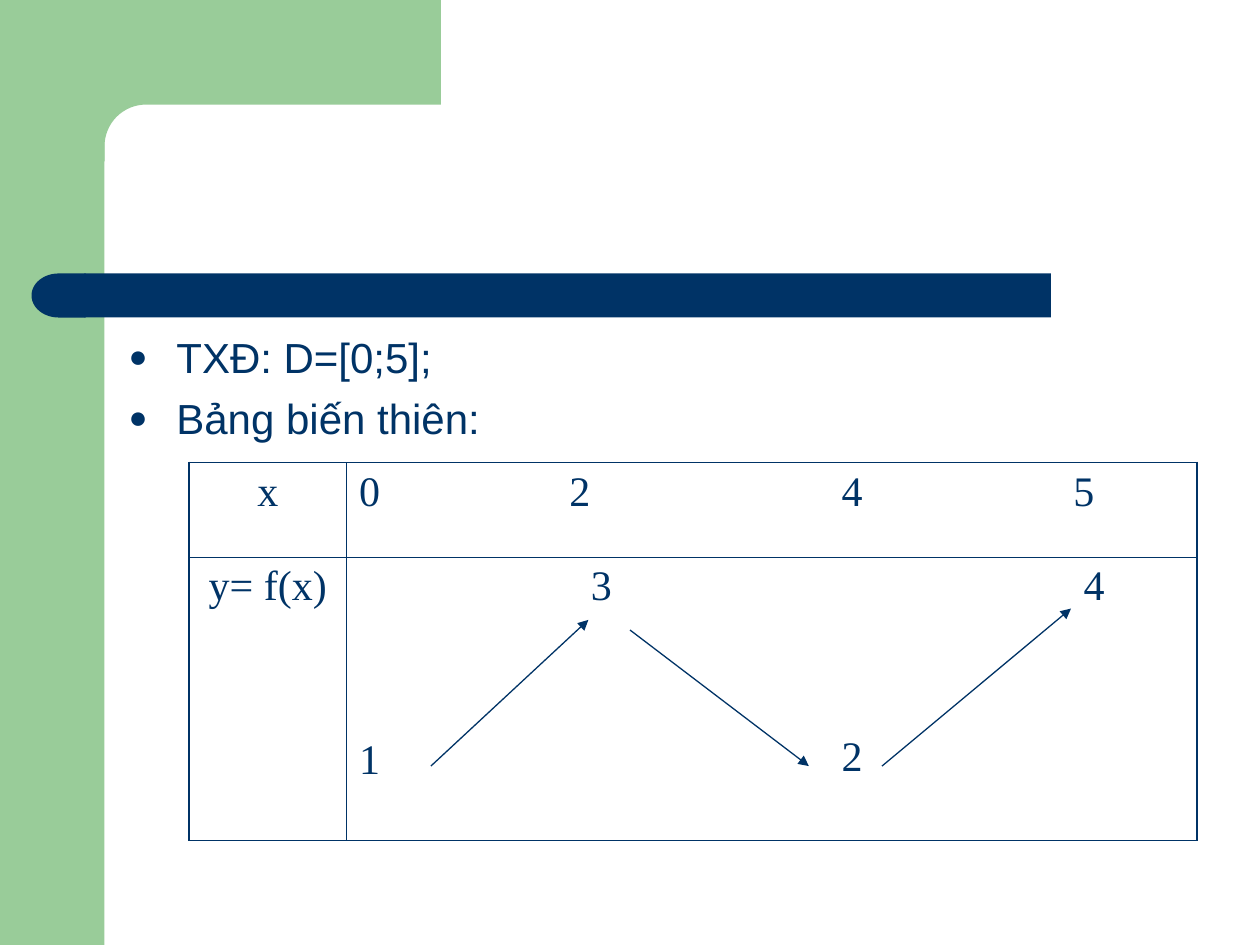
from math import cos, pi, sin

from lxml import etree
from pptx import Presentation
from pptx.dml.color import RGBColor
from pptx.enum.shapes import MSO_CONNECTOR, MSO_SHAPE
from pptx.enum.text import MSO_ANCHOR, PP_ALIGN
from pptx.oxml.ns import qn
from pptx.util import Inches, Pt

RECT = MSO_SHAPE.RECTANGLE
DELAY = MSO_SHAPE.FLOWCHART_DELAY
LINE = MSO_CONNECTOR.STRAIGHT
TOP, BOTTOM = MSO_ANCHOR.TOP, MSO_ANCHOR.BOTTOM
LEFT, CENTER = PP_ALIGN.LEFT, PP_ALIGN.CENTER
NAVY, GREEN = "003366", "99CC99"
SANS, SERIF = "Arial", "Times New Roman"


def color(code):
    return RGBColor.from_string(code)


def add(node, tag, **attrs):
    child = etree.SubElement(node, qn(tag))
    for key, value in attrs.items():
        child.set(key, str(value))
    return child


class Page:
    size = Pt(24)

    def __init__(self, slide):
        self.slide = slide
        self.shapes = slide.shapes

    def paint(self, shape, code):
        shape.shadow.inherit = False
        shape.fill.solid()
        shape.fill.fore_color.rgb = color(code)
        shape.line.fill.background()

    def block(self, kind, box, code):
        shape = self.shapes.add_shape(kind, *map(Inches, box))
        self.paint(shape, code)
        return shape

    def outline(self, points, code):
        first, *rest = [(Inches(x), Inches(y)) for x, y in points]
        pen = self.shapes.build_freeform(*first)
        pen.add_line_segments(rest)
        self.paint(pen.convert_to_shape(), code)

    def style(self, para, face):
        para.font.size = self.size
        para.font.name = face
        para.font.color.rgb = color(NAVY)

    def bullets(self, body, box, lines):
        body.left, body.top, body.width, body.height = map(Inches, box)
        frame = body.text_frame
        frame.text = "\n".join(lines)
        for i, para in enumerate(frame.paragraphs):
            props = para._p.get_or_add_pPr()
            props.set("marL", str(Inches(0.38)))
            props.set("indent", str(-Inches(0.38)))
            add(add(props, "a:buClr"), "a:srgbClr", val=NAVY)
            add(props, "a:buSzPct", val=75000)
            add(props, "a:buChar", char="●")
            para.space_before = Pt(6 if i else 0)
            self.style(para, SANS)

    def border(self, cell, side, width):
        line = add(cell._tc.get_or_add_tcPr(), "a:ln" + side, w=Pt(width))
        if width:
            add(add(line, "a:solidFill"), "a:srgbClr", val=NAVY)
        else:
            add(line, "a:noFill")

    def cell(self, cell, text, stops, align):
        cell.text = text
        for i, para in enumerate(cell.text_frame.paragraphs):
            props = para._p.get_or_add_pPr()
            if stops:
                tabs = add(props, "a:tabLst")
                for stop in stops:
                    add(tabs, "a:tab", pos=Inches(stop), algn="l")
            para.alignment = align
            # Drop from the upper value to the lower one
            para.space_before = Pt(71 if i else 0)
            self.style(para, SERIF)

    def table(self, box, cols, rows, data):
        grid = self.shapes.add_table(len(rows), len(cols),
                                     *map(Inches, box)).table
        grid.first_row = grid.horz_banding = False
        for col, width in zip(grid.columns, cols):
            col.width = Inches(width)
        for row, height in zip(grid.rows, rows):
            row.height = Inches(height)
        end, base = len(cols) - 1, len(rows) - 1
        for r, line in enumerate(data):
            for c, (text, stops) in enumerate(line):
                cell = grid.cell(r, c)
                self.cell(cell, text, stops, LEFT if c else CENTER)
                self.border(cell, "L", 0 if c else 1.08)
                self.border(cell, "R", 1.08 if c == end else 0)
                self.border(cell, "T", 0.45 if r else 1.08)
                self.border(cell, "B", 1.08 if r == base else 0.45)
                cell.fill.background()
        return grid

    def line(self, start, stop, arrow=True):
        link = self.shapes.add_connector(LINE, *map(Inches, start + stop))
        link.line.width = Pt(0.75)
        link.line.color.rgb = color(NAVY)
        if arrow:
            add(link.line._get_or_add_ln(), "a:tailEnd", type="triangle")
        add(link._element.spPr, "a:effectLst")


def main():
    deck = Presentation()
    deck.slide_width, deck.slide_height = Inches(10), Inches(7.5)
    slide = deck.slides.add_slide(deck.slide_layouts[1])
    title = slide.shapes.title._element
    title.getparent().remove(title)
    page = Page(slide)

    # Green frame with a rounded inner corner
    page.block(RECT, (0, 0, 0.83, 7.5), GREEN)
    turns = [pi / 2 * i / 16 for i in range(17)]
    curve = [(1.16 - 0.33 * sin(t), 1.16 - 0.33 * cos(t)) for t in turns]
    page.outline([(0.5, 0), (3.5, 0), (3.5, 0.83), *curve,
                  (0.83, 1.28), (0.5, 1.28)], GREEN)

    # Navy bar with a round left end
    page.block(RECT, (0.67, 2.17, 7.67, 0.35), NAVY)
    cap = page.block(DELAY, (0.25, 2.17, 0.43, 0.35), NAVY)
    cap.rotation = 180

    # Bullets
    page.bullets(slide.placeholders[1], (0.92, 2.58, 5.83, 1.17),
                 ["TXĐ: D=[0;5];", "Bảng biến thiên:"])

    # Variation table: each cell has its text and tab stops
    grid = page.table((1.5, 3.67, 8, 3), (1.25, 1.67, 2.67, 2.41),
                      (0.75, 2.25), [
        [("x", ()), ("0", ()), ("2\t4", (2.16,)), ("\t5", (1.33,))],
        [("y= f(x)", ()), ("1", ()), ("\t3\n\t2", (0.17, 2.16)),
         ("\t4", (1.41,))],
    ])
    low = grid.cell(1, 1)
    low.vertical_anchor = BOTTOM
    low.margin_bottom = Inches(0.45)
    # The lower value sits at the second stop only
    para = grid.cell(1, 2).text_frame.paragraphs[1]
    tabs = para._p.pPr.find(qn("a:tabLst"))
    tabs.remove(tabs[0])

    # Column rule and trend arrows
    page.line((2.75, 3.67), (2.75, 6.67), arrow=False)
    page.line((3.42, 6.08), (4.67, 4.92))
    page.line((5, 5), (6.42, 6.08))
    page.line((7, 6.08), (8.5, 4.83))

    deck.save("out.pptx")


if __name__ == "__main__":
    main()
